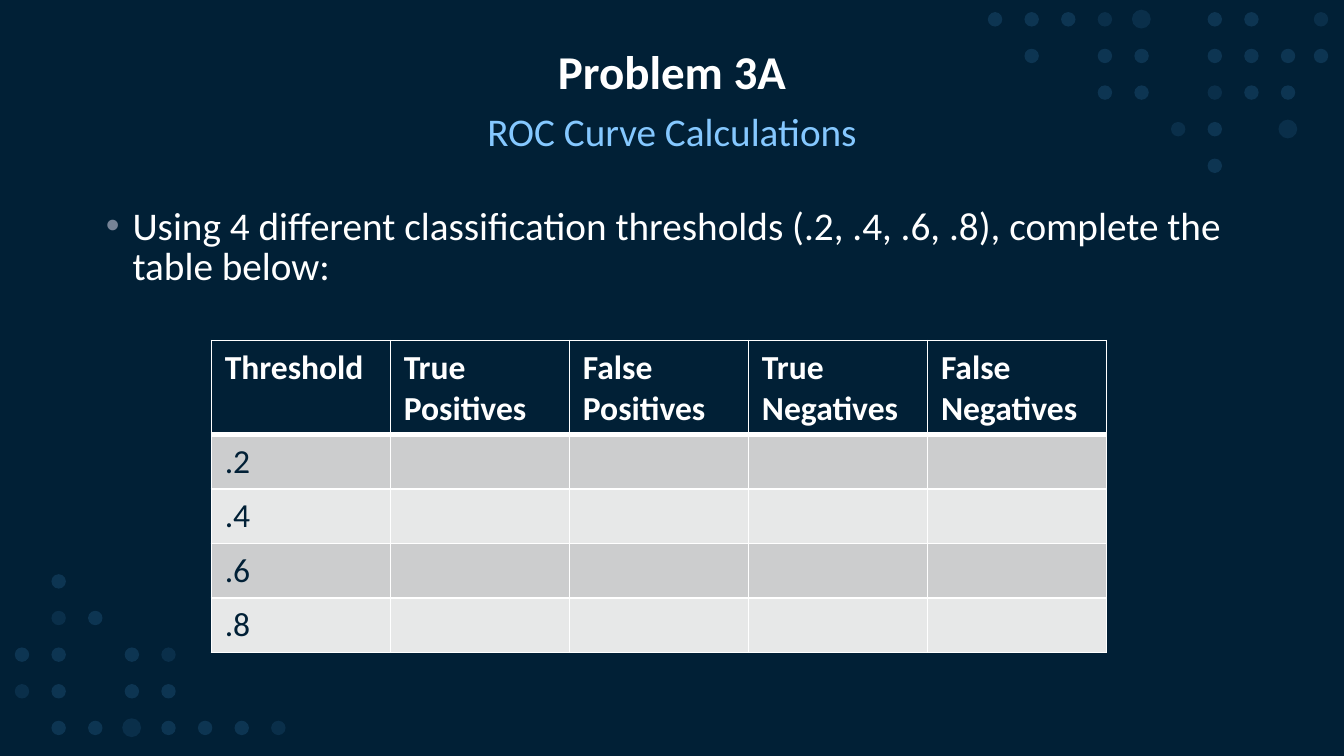
from lxml import etree
from pptx import Presentation
from pptx.dml.color import RGBColor
from pptx.enum.shapes import MSO_SHAPE
from pptx.enum.text import MSO_ANCHOR, MSO_AUTO_SIZE, PP_ALIGN
from pptx.oxml.ns import qn
from pptx.util import Pt

PX = 2286  # EMU per px, 400 px to the inch
FONT = "Calibri"
COLORS = {
    "navy": "012036",
    "white": "FFFFFF",
    "sky": "85C8FF",
    "dot": "5CB5FF",
    "bullet": "768396",
    "band_dark": "CCCDCE",
    "band_light": "E7E8E8",
}

# Dot patterns: o = normal, f = faint, O = large and faint
PITCH = 109
DOTS = {"o": (43, 14), "f": (43, 10), "O": (56, 10)}  # diameter, opacity %
TOP_RIGHT = ["ooofO oo", " o oo ooo", "   oo foo", "     fo O", "      o"]
RIGHT_EDGE = ["f", "o"]
BOTTOM_LEFT = [" o", " fo", "oo of", "fo oo", " ooOooof"]

ROWS = [
    ["Threshold", "True Positives", "False Positives", "True Negatives", "False Negatives"],
    [".2"],
    [".4"],
    [".6"],
    [".8"],
]


def rgb(name):
    return RGBColor.from_string(COLORS[name])


def emu(*lengths):
    return [n * PX for n in lengths]


def add_run(p, text, size, color, bold=False):
    r = p.add_run()
    r.text = text
    r.font.name = FONT
    r.font.size = Pt(size)
    r.font.bold = bold
    r.font.color.rgb = rgb(color)


def add_dots(s, x, y, pattern):
    """Dot grid whose first dot is centred at x, y."""
    for row, line in enumerate(pattern):
        for col, code in enumerate(line):
            if code == " ":
                continue
            d, opacity = DOTS[code]
            left, top = x + col * PITCH - d // 2, y + row * PITCH - d // 2
            dot = s.shapes.add_shape(MSO_SHAPE.OVAL, *emu(left, top, d, d))
            dot.shadow.inherit = False
            dot.line.fill.background()
            dot.fill.solid()
            dot.fill.fore_color.rgb = rgb("dot")
            clr = dot.fill._xPr.find(".//" + qn("a:srgbClr"))
            etree.SubElement(clr, qn("a:alpha"), val=str(opacity * 1000))


def add_title(s, x, y, w, h, text):
    title = s.shapes.title
    title.left, title.top, title.width, title.height = emu(x, y, w, h)
    tf = title.text_frame
    tf.auto_size = MSO_AUTO_SIZE.NONE
    tf.vertical_anchor = MSO_ANCHOR.MIDDLE
    p = tf.paragraphs[0]
    p.alignment = PP_ALIGN.CENTER
    p.line_spacing = 0.9
    add_run(p, text, 25.2, "white", bold=True)


def add_text(s, x, y, w, h, text, color):
    tf = s.shapes.add_textbox(*emu(x, y, w, h)).text_frame
    tf.word_wrap = True
    p = tf.paragraphs[0]
    p.line_spacing = 0.85
    p.space_before = Pt(8)
    add_run(p, text, 21, color)
    return p


def add_bullet(p, indent):
    pPr = p._p.get_or_add_pPr()
    pPr.set("marL", str(indent * PX))
    pPr.set("indent", str(-indent * PX))
    clr = etree.SubElement(pPr, qn("a:buClr"))
    etree.SubElement(clr, qn("a:srgbClr"), val=COLORS["bullet"])
    etree.SubElement(pPr, qn("a:buFont"), typeface="Arial")
    etree.SubElement(pPr, qn("a:buChar"), char="•")


def set_borders(cell, widths):
    tcPr = cell._tc.get_or_add_tcPr()
    for side, width in widths.items():
        ln = etree.SubElement(tcPr, qn(f"a:ln{side}"), w=str(Pt(width)))
        fill = etree.SubElement(ln, qn("a:solidFill"))
        etree.SubElement(fill, qn("a:srgbClr"), val=COLORS["white"])


def add_threshold_table(s, x, y, w, row_h):
    n_rows, n_cols = len(ROWS), len(ROWS[0])
    frame = s.shapes.add_table(n_rows, n_cols, *emu(x, y, w, row_h * n_rows))
    table = frame.table
    for i, texts in enumerate(ROWS):
        header = i == 0
        band = "navy" if header else "band_dark" if i % 2 else "band_light"
        for j in range(n_cols):
            cell = table.cell(i, j)
            # Thick rule under the header
            set_borders(cell, {"L": 1, "R": 1, "T": 3 if i == 1 else 1, "B": 3 if header else 1})
            cell.fill.solid()
            cell.fill.fore_color.rgb = rgb(band)
            if j < len(texts):
                color = "white" if header else "navy"
                add_run(cell.text_frame.paragraphs[0], texts[j], 18, color, bold=header)


def build_slide(prs):
    s = prs.slides.add_slide(prs.slide_layouts[5])
    s.background.fill.solid()
    s.background.fill.fore_color.rgb = rgb("navy")

    # Corner decoration
    add_dots(s, 2961, 57, TOP_RIGHT)
    add_dots(s, 3931, 57, RIGHT_EDGE)
    add_dots(s, 65, 1730, BOTTOM_LEFT)

    # Heading and task
    left, width = 276, 3448
    add_title(s, left, 120, width, 200, "Problem 3A")
    subtitle = add_text(s, left, 320, width, 200, "ROC Curve Calculations", "sky")
    subtitle.alignment = PP_ALIGN.CENTER
    task = add_text(
        s, left, 600, width, 404,
        "Using 4 different classification thresholds (.2, .4, .6, .8), complete the table below:",
        "white",
    )
    add_bullet(task, 79)

    # Answer table
    add_threshold_table(s, 629, 1014, 2665, 162)


def main():
    prs = Presentation()
    prs.slide_width, prs.slide_height = emu(4000, 2250)
    build_slide(prs)
    prs.save("out.pptx")


if __name__ == "__main__":
    main()
